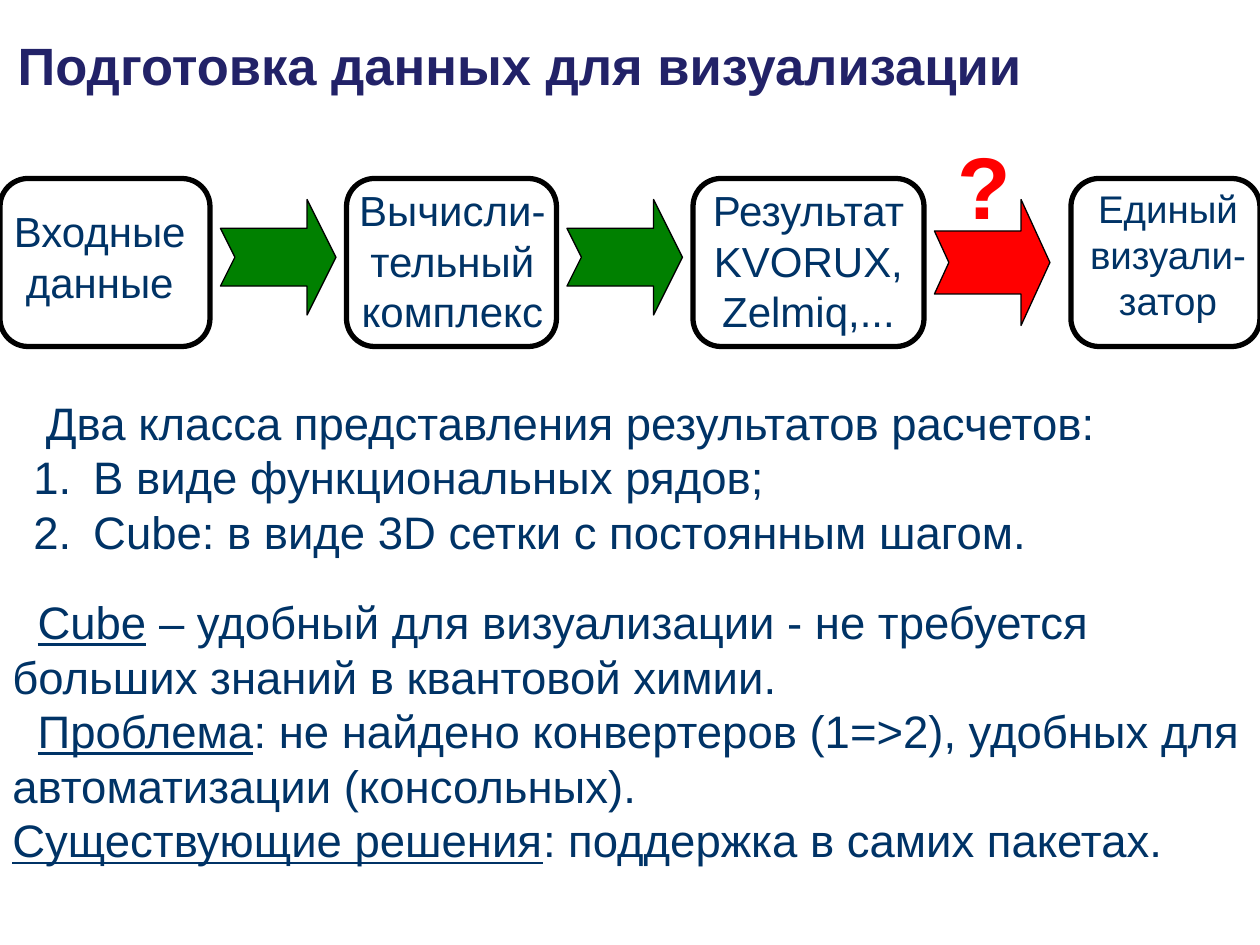
from lxml import etree
from pptx import Presentation
from pptx import util as u
from pptx.dml.color import RGBColor
from pptx.enum import shapes, text
from pptx.oxml.ns import qn

NAVY = "003366"
GREEN = "008000"
RED = "FF0000"
BLACK = "000000"


def rgb(value):
    return RGBColor.from_string(value)


def add_text(s, box, paragraphs, size=26, color=NAVY, bold=False,
             align=text.PP_ALIGN.LEFT, anchor=text.MSO_ANCHOR.TOP, wrap=True):
    tf = s.shapes.add_textbox(*map(u.Pt, box)).text_frame
    tf.word_wrap = wrap
    tf.vertical_anchor = anchor
    for i, runs in enumerate(paragraphs):
        p = tf.paragraphs[0] if i == 0 else tf.add_paragraph()
        p.alignment = align
        if isinstance(runs, str):
            runs = ("", runs)
        for content, underline in zip(runs, (True, False)):
            if content:
                r = p.add_run()
                r.text = content
                r.font.name = "Arial"
                r.font.size = u.Pt(size)
                r.font.bold = bold
                r.font.underline = underline
                r.font.color.rgb = rgb(color)
    return tf.paragraphs


def set_indent(p, left, first, numbered=False):
    pPr = p._p.get_or_add_pPr()
    pPr.set("marL", str(u.Pt(left)))
    pPr.set("indent", str(u.Pt(first)))
    if numbered:
        etree.SubElement(pPr, qn("a:buAutoNum"), type="arabicPeriod")


def add_shape(s, kind, box, adjustments, line_width, fill=None):
    sp = s.shapes.add_shape(kind, *map(u.Pt, box))
    sp.shadow.inherit = False
    for i, value in enumerate(adjustments):
        sp.adjustments[i] = value
    if fill:
        sp.fill.solid()
        sp.fill.fore_color.rgb = rgb(fill)
    else:
        sp.fill.background()
    sp.line.color.rgb = rgb(BLACK)
    sp.line.width = u.Pt(line_width)


def add_stage(s, left, width, label_box, lines, size=24, wrap=True):
    add_shape(s, shapes.MSO_SHAPE.ROUNDED_RECTANGLE,
              (left, 102, width, 96), [0.167], 3)
    add_text(s, label_box, lines, size=size, wrap=wrap,
             align=text.PP_ALIGN.CENTER)


def add_arrow(s, left, height, fill):
    add_shape(s, shapes.MSO_SHAPE.NOTCHED_RIGHT_ARROW,
              (left, 114, 66, height), [0.5, 0.25], 0.75, fill)


def main():
    prs = Presentation()
    prs.slide_width, prs.slide_height = u.Pt(720), u.Pt(540)
    s = prs.slides.add_slide(prs.slide_layouts[6])

    add_text(s, (3, 14, 627, 46), ["Подготовка данных для визуализации"],
             size=30, color="222268", bold=True,
             anchor=text.MSO_ANCHOR.MIDDLE)

    add_stage(s, 0, 120, (0, 114, 114, 65), ["Входные данные"])
    add_stage(s, 198, 120, (198, 102, 121, 94),
              ["Вычисли-", "тельный", "комплекс"], wrap=False)
    add_stage(s, 396, 132, (396, 102, 132, 94),
              ["Результат", "KVORUX,", "Zelmiq,..."])
    add_stage(s, 612, 108, (615.6, 102, 103.7, 86),
              ["Единый", "визуали-", "затор"], size=22, wrap=False)

    for left, height, fill in ((126, 66, GREEN), (324, 66, GREEN),
                               (534, 72, RED)):
        add_arrow(s, left, height, fill)
    add_text(s, (540, 72, 42, 68), ["?"], size=50, color=RED, bold=True)

    intro, *classes = add_text(s, (12, 222, 684, 101), [
        "Два класса представления результатов расчетов:",
        "В виде функциональных рядов;",
        "Cube: в виде 3D сетки с постоянным шагом.",
    ])
    set_indent(intro, 7.2, 0)
    for p in classes:
        set_indent(p, 34.2, -34.2, numbered=True)

    notes = add_text(s, (0, 336, 720, 163), [
        ("Cube", " – удобный для визуализации - не требуется больших "
                 "знаний в квантовой химии."),
        ("Проблема", ": не найдено конвертеров (1=>2), удобных для "
                     "автоматизации (консольных)."),
        ("Существующие решения", ": поддержка в самих пакетах."),
    ])
    for p in notes[:2]:
        set_indent(p, 0, 14.4)

    prs.save("out.pptx")


if __name__ == "__main__":
    main()
